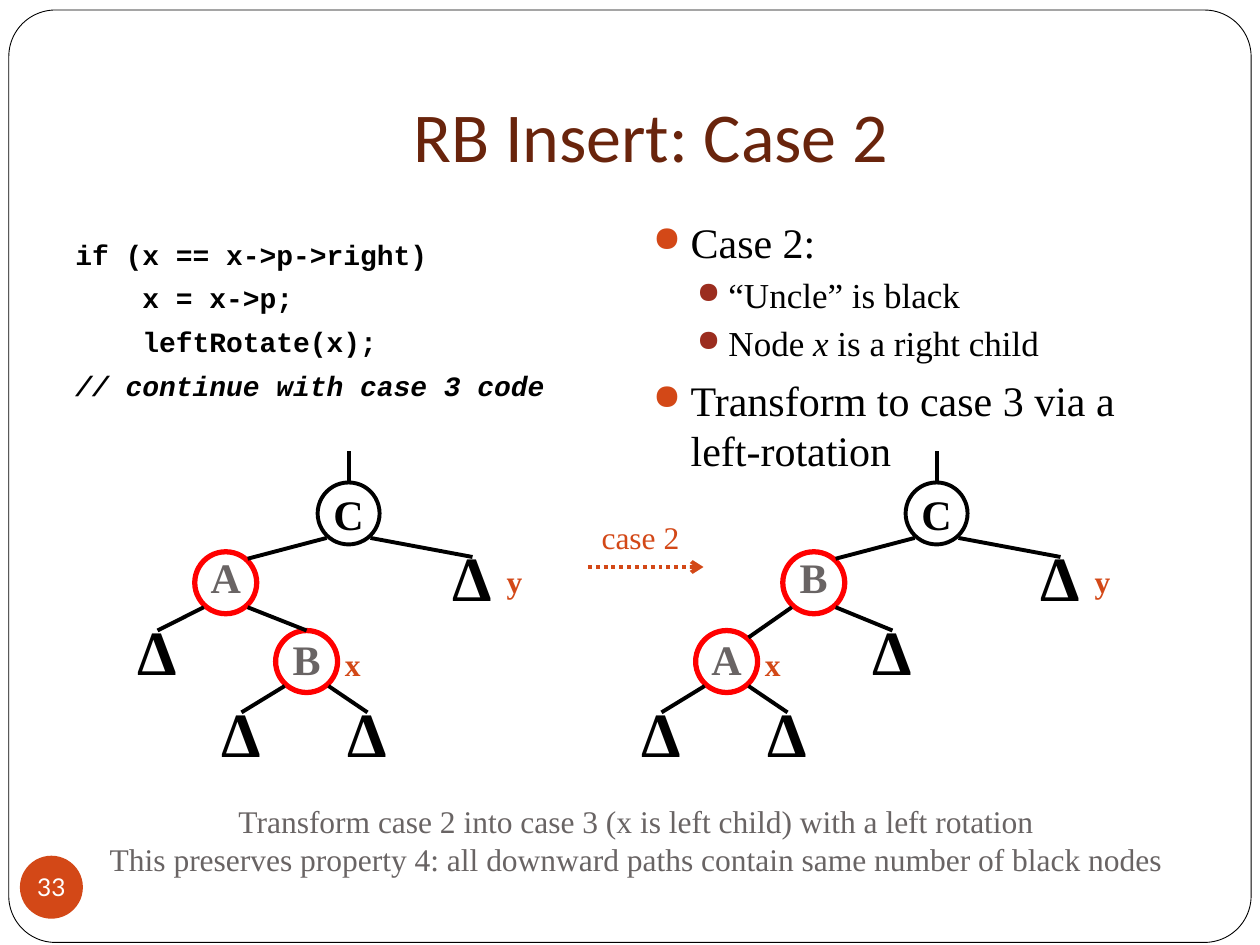
from math import sqrt

from pptx import Presentation
from pptx.dml.color import RGBColor
from pptx.enum.dml import MSO_LINE
from pptx.enum.shapes import MSO_CONNECTOR, MSO_SHAPE
from pptx.enum.text import MSO_ANCHOR, PP_ALIGN
from pptx.oxml.ns import qn
from pptx.util import Inches, Pt
from lxml.etree import SubElement

COLORS = {"ink": "000000", "paper": "FFFFFF", "red": "FF0000", "gray": "696464",
          "accent": "D34817", "rust": "9B2D1F", "title": "69240C"}
SERIF, MONO = "Times New Roman", "Courier New"
COLS, ROWS = 120, 90          # grid of twelfths of an inch
NODE = 5.9                    # node diameter
RADIUS = NODE / 2
DIAGONAL = RADIUS / sqrt(2)   # offset of a node's 45-degree point


def rgb(name):
    return RGBColor.from_string(COLORS[name])


def add_bullet(p, color):
    ppr = p._p.get_or_add_pPr()
    SubElement(SubElement(ppr, qn("a:buClr")), qn("a:srgbClr"), val=COLORS[color])
    SubElement(ppr, qn("a:buSzPct"), val="85000")
    SubElement(ppr, qn("a:buChar"), char="●")


def write(p, text, size=18, font=SERIF, color="ink", bold=False, italic=False,
          align=PP_ALIGN.CENTER, spacing=None, before=0, left=0, hang=0, bullet=None):
    """Fill a paragraph; parts between asterisks turn italic."""
    p.alignment = align
    if spacing:
        p.line_spacing = spacing
    if before:
        p.space_before = Pt(before)
    if hang:
        ppr = p._p.get_or_add_pPr()
        ppr.set("marL", str(Inches(left)))
        ppr.set("indent", str(Inches(-hang)))
    if bullet:
        add_bullet(p, bullet)
    for i, part in enumerate(text.split("*")):
        if part:
            r = p.add_run()
            r.text = part
            r.font.name, r.font.size = font, Pt(size)
            r.font.bold, r.font.italic = bold, italic or i % 2 == 1
            r.font.color.rgb = rgb(color)


class Deck:
    def __init__(self):
        self.prs = Presentation()
        self.prs.slide_width, self.prs.slide_height = Inches(10), Inches(7.5)
        self.s = self.prs.slides.add_slide(self.prs.slide_layouts[6])

    def x(self, col):
        return round(self.prs.slide_width * col / COLS)

    def y(self, row):
        return round(self.prs.slide_height * row / ROWS)

    def area(self, col, row, cols, rows):
        return self.x(col), self.y(row), self.x(cols), self.y(rows)

    def shape(self, kind, area, fill=None, line=None, width=1.0):
        sp = self.s.shapes.add_shape(kind, *self.area(*area))
        sp.shadow.inherit = False
        if fill:
            sp.fill.solid()
            sp.fill.fore_color.rgb = rgb(fill)
        else:
            sp.fill.background()
        if line:
            sp.line.color.rgb, sp.line.width = rgb(line), Pt(width)
        else:
            sp.line.fill.background()
        return sp

    def disc(self, area, text, fill=None, line=None, width=1.0, **fmt):
        tf = self.shape(MSO_SHAPE.OVAL, area, fill, line, width).text_frame
        tf.word_wrap, tf.vertical_anchor = False, MSO_ANCHOR.MIDDLE
        write(tf.paragraphs[0], text, **fmt)
        return tf

    def text(self, area, paragraphs, wrap=False, anchor=MSO_ANCHOR.MIDDLE, **common):
        tf = self.s.shapes.add_textbox(*self.area(*area)).text_frame
        tf.word_wrap, tf.vertical_anchor = wrap, anchor
        for i, (text, fmt) in enumerate(paragraphs):
            p = tf.add_paragraph() if i else tf.paragraphs[0]
            fmt = {**common, **fmt}
            if i == 0:
                fmt["before"] = 0
            write(p, text, **fmt)
        return tf

    def line(self, start, end, color="ink", arrow=False):
        c = self.s.shapes.add_connector(MSO_CONNECTOR.STRAIGHT, self.x(start[0]),
                                        self.y(start[1]), self.x(end[0]), self.y(end[1]))
        c.line.color.rgb, c.line.width = rgb(color), Pt(2.25)
        if arrow:
            c.line.dash_style = MSO_LINE.ROUND_DOT
            SubElement(c.line._get_or_add_ln(), qn("a:tailEnd"), type="arrow")
        SubElement(c._element.spPr, qn("a:effectLst"))

    def tree(self, node, dx=0, depth=0):
        """Draw a node, its subtrees and the edges down to them."""
        name, col, row, tag, children = node
        col += dx
        area = (col - RADIUS, row - RADIUS, NODE, NODE)
        if name == "Δ":
            self.disc(area, name, size=36, bold=True, spacing=0.6)
        else:
            self.disc(area, name, "paper", "red" if depth else "ink", 3 if depth else 2.25,
                      size=24, bold=True, color="gray" if depth else "ink",
                      spacing=(None, 0.7, 0.9)[depth])
        if tag:
            shift, lift = (4, -0.7) if name == "Δ" else (4.4, 0.2)
            self.text((col + shift - 2, row + lift - 2.6, 4, 5.2), [(tag, {})],
                      bold=True, color="accent")
        for side, child in zip((-1, 1), children):
            self.tree(child, dx, depth + 1)
            end = (child[1] + dx, child[2] - RADIUS)
            if side < 0 and child[0] != "Δ":
                end = (child[1] + dx + DIAGONAL, child[2] - DIAGONAL - 0.2)
            self.line((col + side * DIAGONAL, row + DIAGONAL + 0.25), end)
        if depth == 0:
            self.line((col, row - RADIUS), (col, row - RADIUS - 3))


def leaf(col, row, tag=None):
    return "Δ", col, row, tag, ()


# Trees before and after the rotation: name, column, row, tag, children
UNCLE = leaf(45, 56, "y")
BEFORE = ("C", 33.2, 48.9, None, (
    ("A", 21.5, 55.5, None, (
        leaf(15, 63),
        ("B", 29.2, 63, "x", (leaf(23, 70.8), leaf(35, 70.8))))),
    UNCLE))
AFTER = ("C", 33.2, 48.9, None, (
    ("B", 21.5, 55.5, None, (
        ("A", 13.2, 63, "x", (leaf(7, 70.8), leaf(19, 70.8))),
        leaf(29, 63))),
    UNCLE))


def main():
    d = Deck()

    # Frame and title
    frame = d.shape(MSO_SHAPE.ROUNDED_RECTANGLE, (0.84, 0.96, 118.32, 88.8),
                    "paper", "ink", 0.5)
    frame.adjustments[0] = 0.05
    tf = d.text((11, 3, 102, 15), [("RB Insert: Case 2", {})], wrap=True,
                anchor=MSO_ANCHOR.BOTTOM, size=40, font="Calibri", color="title")
    tf.margin_bottom = Inches(0.1)

    # Code
    code = ["if (x == x->p->right)", "    x = x->p;", "    leftRotate(x);"]
    d.text((6, 22, 53, 22),
           [(t, {}) for t in code] + [("// continue with case 3 code", {"italic": True})],
           wrap=True, anchor=MSO_ANCHOR.TOP, size=16, font=MONO, bold=True,
           align=PP_ALIGN.LEFT, before=5.8, left=0.3, hang=0.3)

    # Bullets
    main_point = dict(size=24, before=5.8, left=0.3, hang=0.3, bullet="accent")
    sub_point = dict(size=20, before=3.8, left=0.6, hang=0.25, bullet="rust")
    d.text((61, 20, 53, 23),
           [("Case 2:", main_point),
            ("“Uncle” is black", sub_point),
            ("Node *x* is a right child", sub_point),
            ("Transform to case 3 via a left-rotation", main_point)],
           wrap=True, anchor=MSO_ANCHOR.TOP, align=PP_ALIGN.LEFT)

    # Trees and the step between them
    d.tree(BEFORE)
    d.tree(AFTER, dx=56)
    d.text((56, 48.7, 10, 4.8), [("case 2", {})], color="accent")
    d.line((56, 54), (67, 54), "accent", arrow=True)

    # Conclusion and page number
    d.text((3.4, 75.4, 114.4, 9.2),
           [("Transform case 2 into case 3 (x is left child) with a left rotation", {}),
            ("This preserves property 4: all downward paths contain same number of black nodes",
             {})], color="gray")
    tf = d.disc((1.9, 81.5, 6, 6), "33", "accent", size=14, font="Lato", color="paper")
    tf.margin_left = tf.margin_right = tf.margin_top = tf.margin_bottom = 0

    d.prs.save("out.pptx")


if __name__ == "__main__":
    main()
